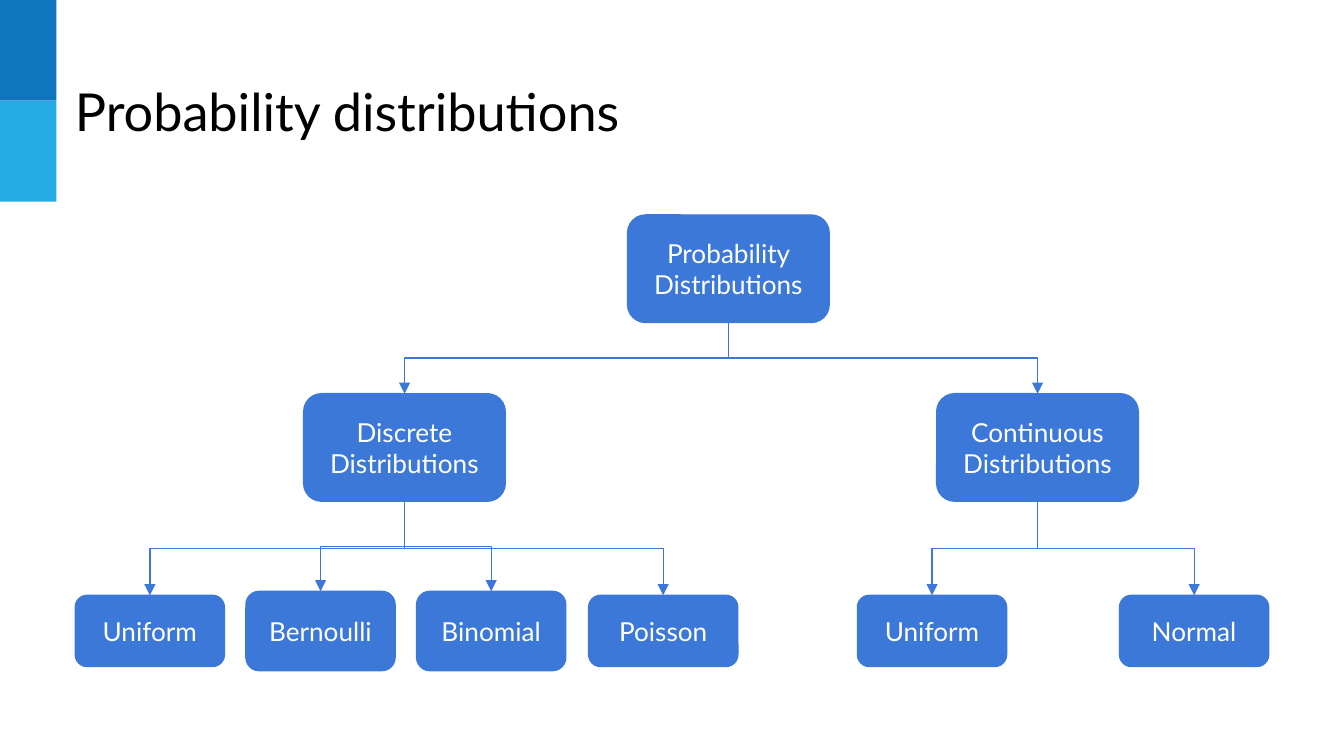
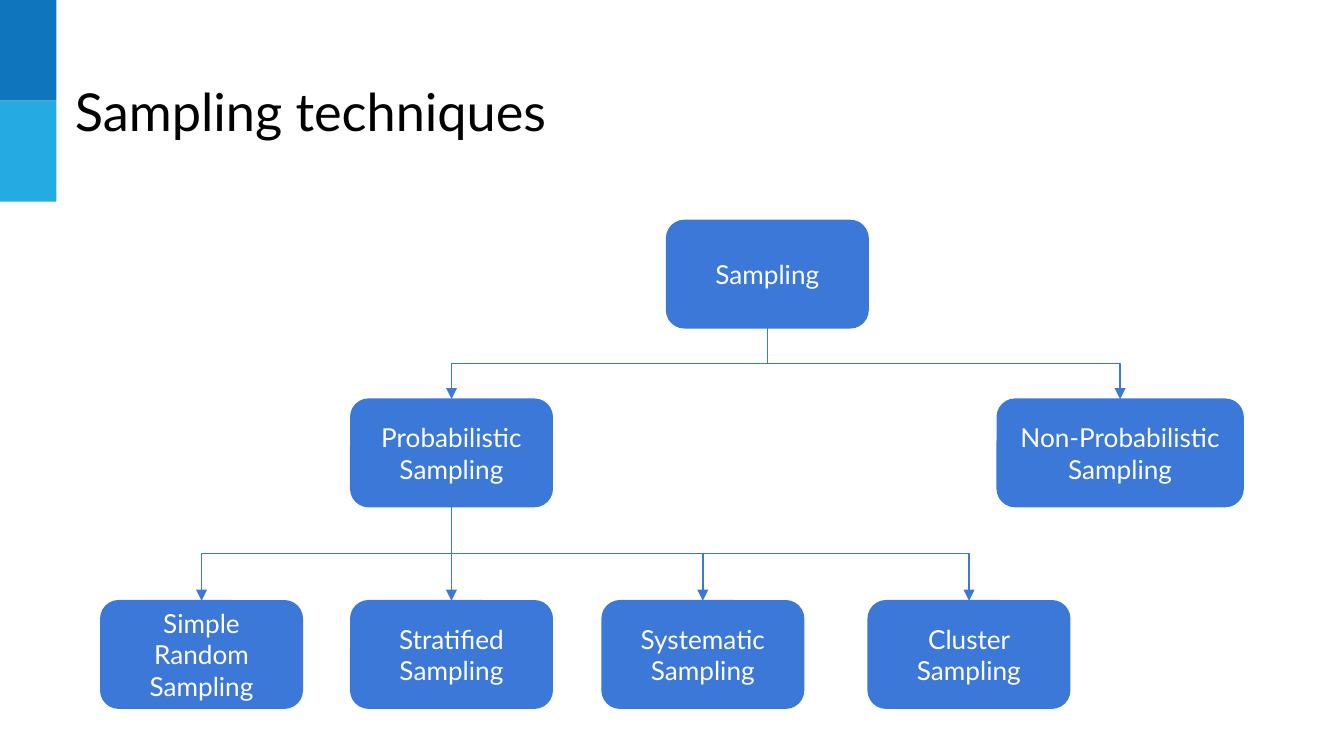
from lxml import etree
from pptx import Presentation
from pptx.dml.color import RGBColor
from pptx.enum.shapes import MSO_CONNECTOR, MSO_SHAPE
from pptx.enum.text import MSO_ANCHOR, PP_ALIGN
from pptx.oxml.ns import qn
from pptx.util import Inches, Pt

RECT, ROUND = MSO_SHAPE.RECTANGLE, MSO_SHAPE.ROUNDED_RECTANGLE
ELBOW = MSO_CONNECTOR.ELBOW
MIDDLE, CENTER = MSO_ANCHOR.MIDDLE, PP_ALIGN.CENTER
TOP, BOTTOM = 0, 2
FONT = "Lato"
COLORS = {name: RGBColor.from_string(code) for name, code in {
    "dark": "0F75BD", "light": "25AAE2", "node": "3C78D8",
    "title": "000000", "label": "FFFFFF"}.items()}

# Each node: label, left, top, width, height, index of its parent node
TREES = {
    "Probability distributions": [
        ("Probability Distributions", 4.67, 1.6, 1.5, 0.8, None),
        ("Discrete Distributions", 2.26, 2.93, 1.5, 0.8, 0),
        ("Continuous Distributions", 6.97, 2.93, 1.5, 0.8, 0),
        ("Uniform", 0.56, 4.43, 1.11, 0.53, 1),
        ("Bernoulli", 1.83, 4.4, 1.11, 0.59, 1),
        ("Binomial", 3.1, 4.4, 1.11, 0.59, 1),
        ("Poisson", 4.38, 4.43, 1.11, 0.53, 1),
        ("Uniform", 6.38, 4.43, 1.11, 0.53, 2),
        ("Normal", 8.33, 4.43, 1.11, 0.53, 2),
    ],
    "Sampling techniques": [
        ("Sampling", 4.96, 1.64, 1.5, 0.8, None),
        ("Probabilistic Sampling", 2.61, 2.97, 1.5, 0.8, 0),
        ("Non-Probabilistic Sampling", 7.42, 2.97, 1.83, 0.8, 0),
        ("Simple Random Sampling", 0.75, 4.47, 1.5, 0.8, 1),
        ("Stratified Sampling", 2.61, 4.47, 1.5, 0.8, 1),
        ("Systematic Sampling", 4.48, 4.47, 1.5, 0.8, 1),
        ("Cluster Sampling", 6.46, 4.47, 1.5, 0.8, 1),
    ],
}


def write(shape, text, size, color):
    """Put one styled paragraph into a shape with even insets."""
    frame = shape.text_frame
    frame.word_wrap = True
    frame.margin_left = frame.margin_right = Inches(0.1)
    frame.margin_top = frame.margin_bottom = Inches(0.1)
    para = frame.paragraphs[0]
    para.text = text
    para.font.name, para.font.size = FONT, Pt(size)
    para.font.color.rgb = COLORS[color]
    return frame, para


def link(slide, parent, child):
    """Draw an elbow arrow down from one node to the next."""
    line = slide.shapes.add_connector(ELBOW, 0, 0, 0, 0)
    line.begin_connect(parent, BOTTOM)
    line.end_connect(child, TOP)
    start = parent.left + parent.width // 2
    end = child.left + child.width // 2
    low = parent.top + parent.height
    drop, span = child.top - low, abs(end - start)
    # A vertical elbow is a horizontal one turned about its centre
    line.left, line.top = (start + end - drop) // 2, low + (drop - span) // 2
    line.width, line.height = drop, span
    props = line._element.spPr
    frame = props.find(qn("a:xfrm"))
    right = end >= start
    frame.set("rot", str((270 if right else 90) * 60000))
    frame.set("flipH", "1" if right else "0")
    frame.set("flipV", "0")
    line.line.color.rgb = COLORS["node"]
    line.line.width = Pt(0.75)
    etree.SubElement(props.find(qn("a:ln")), qn("a:tailEnd"), type="triangle")
    etree.SubElement(props, qn("a:effectLst"))


deck = Presentation()
deck.slide_width = Inches(10)
deck.slide_height = deck.slide_width * 9 // 16

for title, nodes in TREES.items():
    slide = deck.slides.add_slide(deck.slide_layouts[6])
    shapes = slide.shapes

    for row, color in enumerate(("dark", "light")):
        band = shapes.add_shape(RECT, 0, Inches(0.75 * row),
                                Inches(0.42), Inches(0.75))
        band.shadow.inherit = False
        band.fill.solid()
        band.fill.fore_color.rgb = COLORS[color]
        band.line.fill.background()

    head = shapes.add_textbox(Inches(0.46), Inches(0.49),
                              Inches(7.37), Inches(0.63))
    write(head, title, 28, "title")

    boxes = []
    for label, *place, parent in nodes:
        box = shapes.add_shape(ROUND, *map(Inches, place))
        box.shadow.inherit = False
        box.fill.solid()
        box.fill.fore_color.rgb = COLORS["node"]
        box.line.color.rgb = COLORS["node"]
        box.line.width = Pt(0.75)
        frame, para = write(box, label, 14, "label")
        frame.vertical_anchor = MIDDLE
        para.alignment = CENTER
        boxes.append(box)
        if parent is not None:
            link(slide, boxes[parent], box)

deck.save("out.pptx")
